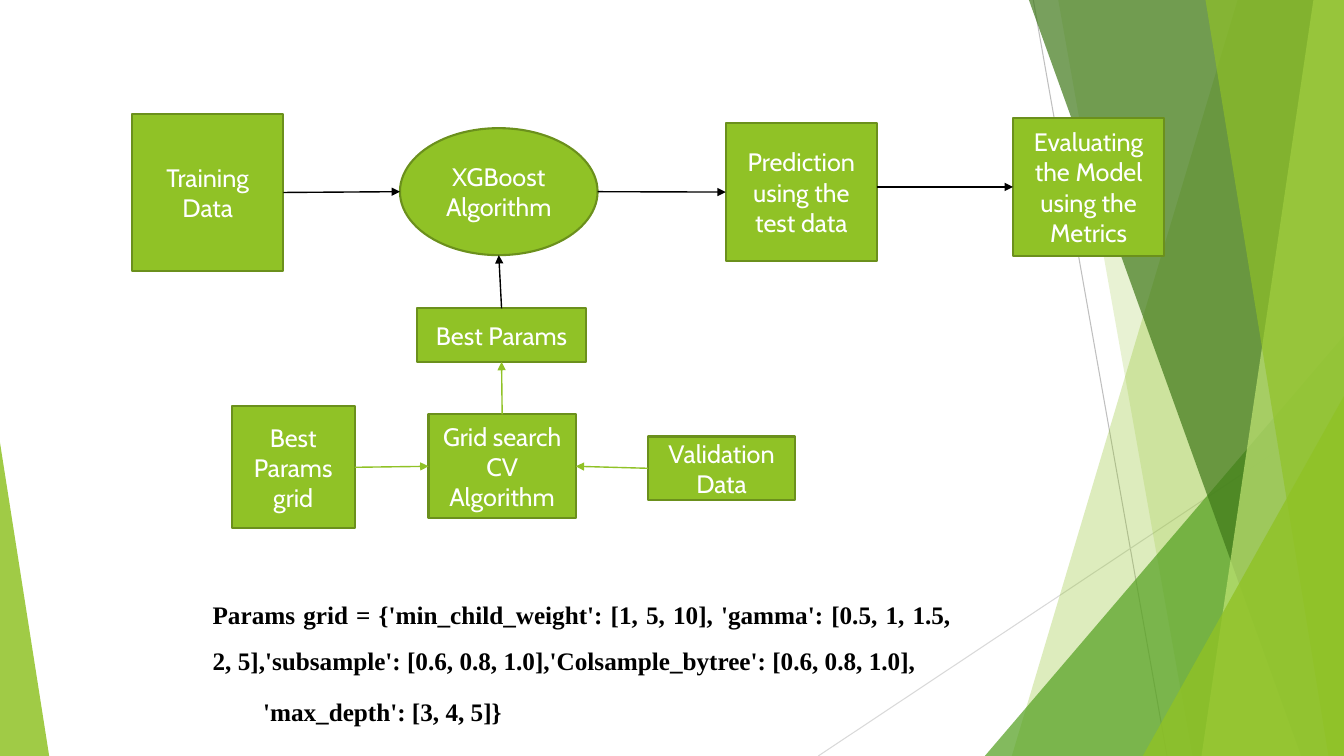
"""Build a slide showing how the XGBoost model is tuned, trained and evaluated."""
from pptx import Presentation
from pptx.dml.color import RGBColor
from pptx.enum.shapes import MSO_CONNECTOR as LINK, MSO_SHAPE as SHAPE
from pptx.enum.text import MSO_ANCHOR as ANCHOR, MSO_AUTO_SIZE as FIT, PP_ALIGN as ALIGN
from pptx.oxml.ns import qn
from pptx.oxml.xmlchemy import OxmlElement as new_element
from pptx.util import Cm, Pt

WIDTH, HEIGHT = 33.87, 19.05
TOP, LEFT, BOTTOM, RIGHT = range(4)
COLORS = {
    "lime": "90C226", "olive": "6B901C", "leaf": "54A021", "forest": "3F7819",
    "pale": "C0E474", "silver": "BFBFBF", "mist": "D9D9D9",
    "black": "000000", "white": "FFFFFF",
}
BOX_FONT = {"name": "Cabin", "size": Pt(18), "bold": False}
GRID_FONT = {"name": "Times New Roman", "size": Pt(18), "bold": True}
GRID_PARAGRAPH = {"alignment": ALIGN.JUSTIFY, "line_spacing": 1.5, "space_before": Pt(4.2)}
GRID_LINES = [
    ("Params grid = {'min_child_weight': [1, 5, 10], 'gamma': [0.5, 1, 1.5, 2, 5],"
     "'subsample': [0.6, 0.8, 1.0],'Colsample_bytree': [0.6, 0.8, 1.0],", 0),
    ("'max_depth': [3, 4, 5]}", 1.27),
]


def rgb(name):
    return RGBColor.from_string(COLORS[name])


def apply(target, values):
    for name, value in values.items():
        setattr(target, name, value)


def style_text(paragraph, font, color, paragraph_format):
    apply(paragraph, paragraph_format)
    for run in paragraph.runs:
        apply(run.font, font)
        run.font.color.rgb = rgb(color)


def fill_glass(facet, color, opacity):
    facet.shadow.inherit = False
    facet.fill.solid()
    facet.fill.fore_color.rgb = rgb(color)
    alpha = new_element("a:alpha")
    alpha.set("val", str(opacity * 1000))
    facet.element.spPr.find(".//" + qn("a:srgbClr")).append(alpha)
    facet.line.fill.background()


def add_panel(shapes, top_x, bottom_x, color, opacity):
    outline = shapes.build_freeform(Cm(top_x), 0)
    corners = [(WIDTH, 0), (WIDTH, HEIGHT), (bottom_x, HEIGHT)]
    outline.add_line_segments([(Cm(x), Cm(y)) for x, y in corners], close=True)
    fill_glass(outline.convert_to_shape(), color, opacity)


def add_wedge(shapes, left, top, width, apex, color, opacity):
    wedge = shapes.add_shape(SHAPE.ISOSCELES_TRIANGLE, Cm(left), Cm(top),
                             Cm(width), Cm(HEIGHT - top))
    wedge.adjustments[0] = apex
    fill_glass(wedge, color, opacity)


def add_line(shapes, start, end, color, weight):
    line = shapes.add_connector(LINK.STRAIGHT, *start, *end)
    line.line.color.rgb = rgb(color)
    line.line.width = Pt(weight)
    line.element.spPr.append(new_element("a:effectLst"))
    return line


def add_backdrop(slide):
    shapes = slide.shapes.add_group_shape().shapes
    add_line(shapes, (Cm(26.04), 0), (Cm(29.41), Cm(HEIGHT)), "silver", 0.75)
    add_line(shapes, (Cm(WIDTH), Cm(10.24)), (Cm(20.62), Cm(HEIGHT)), "mist", 0.75)
    add_panel(shapes, 31.19, 25.5, "lime", 30)
    add_panel(shapes, 26.67, 30.05, "lime", 20)
    add_wedge(shapes, 24.82, 8.46, 9.05, 1, "leaf", 72)
    add_panel(shapes, 25.93, 32.79, "forest", 70)
    add_panel(shapes, 33.1, 30.28, "pale", 70)
    add_panel(shapes, 30.38, 33.48, "lime", 65)
    add_wedge(shapes, 28.8, 9.98, 5.07, 1, "lime", 80)
    add_wedge(shapes, 0, 11.15, 1.24, 0, "lime", 85)


def add_step(slide, text, left, top, width, height, outline=SHAPE.RECTANGLE):
    step = slide.shapes.add_shape(outline, Cm(left), Cm(top), Cm(width), Cm(height))
    step.shadow.inherit = False
    step.fill.solid()
    step.fill.fore_color.rgb = rgb("lime")
    step.line.color.rgb = rgb("olive")
    step.line.width = Pt(1.5)
    frame = step.text_frame
    frame.text = text
    apply(frame, {"word_wrap": True, "vertical_anchor": ANCHOR.MIDDLE})
    for paragraph in frame.paragraphs:
        style_text(paragraph, BOX_FONT, "white", {"alignment": ALIGN.CENTER})
    return step


def side_middle(step, side):
    x = {LEFT: step.left, RIGHT: step.left + step.width}.get(side, step.left + step.width // 2)
    y = {TOP: step.top, BOTTOM: step.top + step.height}.get(side, step.top + step.height // 2)
    return x, y


def add_arrow(slide, source, source_side, target, target_side, color, level=False):
    start, end = side_middle(source, source_side), side_middle(target, target_side)
    if level:
        start = start[0], end[1]
    arrow = add_line(slide.shapes, start, end, color, 1)
    if source.auto_shape_type == SHAPE.RECTANGLE and not level:
        arrow.begin_connect(source, source_side)
    if target.auto_shape_type == SHAPE.RECTANGLE:
        arrow.end_connect(target, target_side)
    head = new_element("a:tailEnd")
    head.set("type", "triangle")
    arrow.line._get_or_add_ln().append(head)


def add_params_grid(slide):
    box = slide.shapes.add_textbox(Cm(4.04), Cm(14.6), Cm(21.03), Cm(4.62))
    frame = box.text_frame
    apply(frame, {"word_wrap": True, "auto_size": FIT.SHAPE_TO_FIT_TEXT})
    for number, (text, indent) in enumerate(GRID_LINES):
        paragraph = frame.add_paragraph() if number else frame.paragraphs[0]
        paragraph.text = text
        style_text(paragraph, GRID_FONT, "black", GRID_PARAGRAPH)
        margins = {"marL": 1.07, "marR": 0.85, "indent": indent}
        for name, length in margins.items():
            paragraph._p.get_or_add_pPr().set(name, str(int(Cm(length))))


def main():
    deck = Presentation()
    apply(deck, {"slide_width": Cm(WIDTH), "slide_height": Cm(HEIGHT)})
    slide = deck.slides.add_slide(deck.slide_layouts.get_by_name("Blank"))
    add_backdrop(slide)

    training = add_step(slide, "Training Data", 3.33, 2.87, 3.81, 3.96)
    xgboost = add_step(slide, "XGBoost\nAlgorithm", 10.08, 3.23, 4.98, 3.2, SHAPE.OVAL)
    prediction = add_step(slide, "Prediction using the test data", 18.29, 3.1, 3.81, 3.48)
    evaluation = add_step(slide, "Evaluating the Model using the Metrics",
                          25.53, 2.97, 3.81, 3.48)
    params_grid = add_step(slide, "Best Params grid", 5.84, 10.24, 3.1, 3.07)
    grid_search = add_step(slide, "Grid search CV Algorithm", 10.8, 10.44, 3.71, 2.62)
    validation = add_step(slide, "Validation Data", 16.33, 11, 3.71, 1.6)
    best_params = add_step(slide, "Best Params", 10.52, 7.77, 4.24, 1.35)

    add_arrow(slide, training, RIGHT, xgboost, LEFT, "black")
    add_arrow(slide, xgboost, RIGHT, prediction, LEFT, "black")
    add_arrow(slide, prediction, RIGHT, evaluation, LEFT, "black", level=True)
    add_arrow(slide, params_grid, RIGHT, grid_search, LEFT, "lime")
    add_arrow(slide, validation, LEFT, grid_search, RIGHT, "lime")
    add_arrow(slide, best_params, TOP, xgboost, BOTTOM, "black")
    add_arrow(slide, grid_search, TOP, best_params, BOTTOM, "lime")

    add_params_grid(slide)
    deck.save("out.pptx")


if __name__ == "__main__":
    main()
